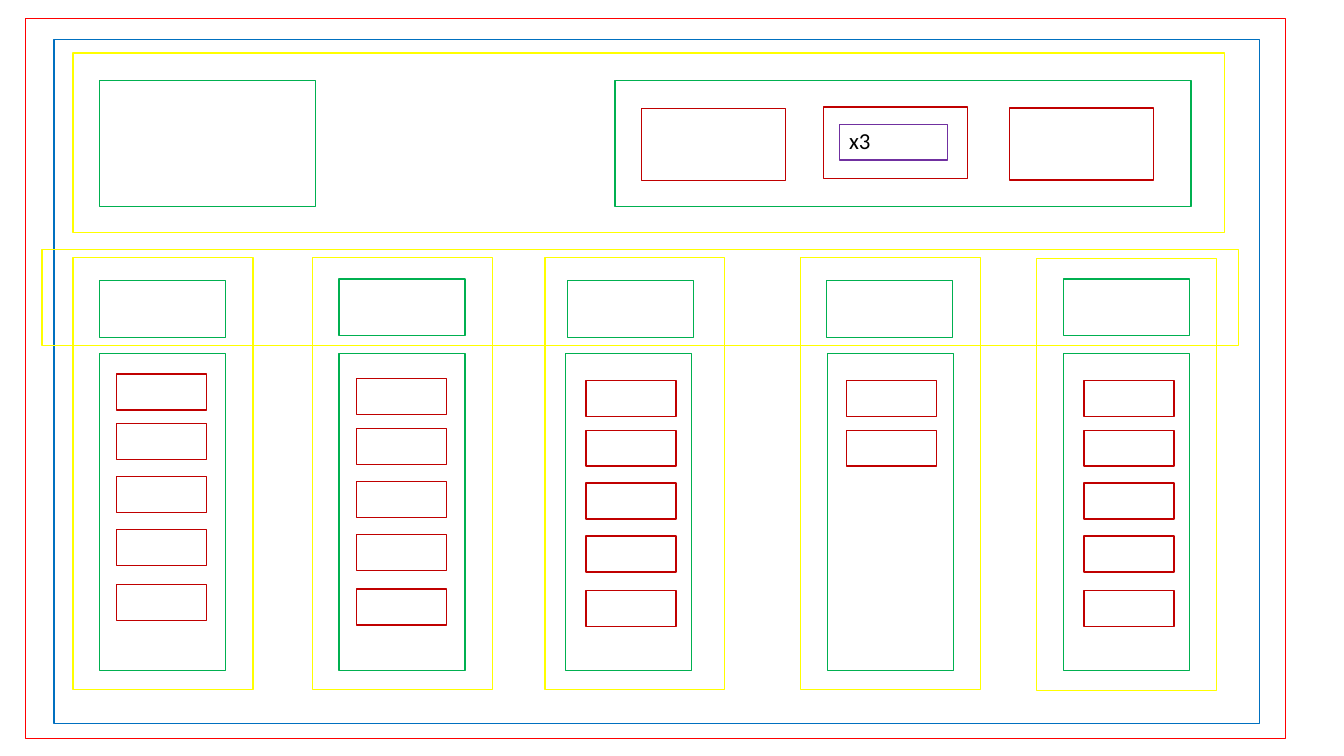
from pptx import Presentation
from pptx.dml.color import RGBColor
from pptx.enum.shapes import MSO_SHAPE
from pptx.enum.text import MSO_AUTO_SIZE
from pptx.util import Cm, Pt

RECTANGLE = MSO_SHAPE.RECTANGLE
FIT_SHAPE = MSO_AUTO_SIZE.SHAPE_TO_FIT_TEXT
BLANK_LAYOUT = 6


class Theme:
    page = RGBColor(0xFF, 0x00, 0x00)
    container = RGBColor(0x00, 0x70, 0xC0)
    section = RGBColor(0xFF, 0xFF, 0x00)
    block = RGBColor(0x00, 0xB0, 0x50)
    item = RGBColor(0xC0, 0x00, 0x00)
    detail = RGBColor(0x70, 0x30, 0xA0)
    text = RGBColor(0x00, 0x00, 0x00)
    font = "Calibri"
    text_size = Pt(18)
    line_width = Pt(1)


# All lengths are in centimetres; boxes are (left, top, width, height).
SLIDE_SIZE = (37.34, 21)
PAGE = (0.71, 0.51, 35, 20)
CONTAINER = (1.5, 1.09, 33.5, 19)
HEADER = (2.03, 1.47, 32, 5)
HEADER_BLOCKS = [(2.77, 2.23, 6, 3.5), (17.09, 2.23, 16, 3.5)]
MENU_POSITIONS = [(17.83, 3.02), (22.89, 2.97), (28.04, 3)]
MENU_DETAIL = (23.32, 3.45, 3, 1)
REPEAT_LABEL = ("x3", (23.34, 3.38, 2, 1))
TITLE_STRIP = (1.17, 6.93, 33.25, 2.67)

COLUMNS = [
    {"frame": (2.03, 7.16), "title": (2.77, 7.8), "list": 2.77, "items": (3.23, 10.39), "count": 5},
    {"frame": (8.69, 7.16), "title": (9.42, 7.75), "list": 9.42, "items": (9.91, 10.52), "count": 5},
    {"frame": (15.14, 7.16), "title": (15.77, 7.8), "list": 15.72, "items": (16.28, 10.57), "count": 5},
    {"frame": (22.25, 7.16), "title": (22.96, 7.8), "list": 22.99, "items": (23.52, 10.57), "count": 2},
    {"frame": (28.8, 7.19), "title": (29.54, 7.75), "list": 29.54, "items": (30.12, 10.57), "count": 5},
]
MENU_SIZE = (4, 2)
FRAME_SIZE = (5, 12)
TITLE_SIZE = (3.5, 1.58)
LIST_TOP = 9.83
LIST_SIZE = (3.5, 8.8)
ITEM_SIZE = (2.5, 1)
ITEM_OFFSETS = [0, 1.38, 2.85, 4.32, 5.84]


def add_outline(slide, box, color):
    outline = slide.shapes.add_shape(RECTANGLE, *map(Cm, box))
    outline.shadow.inherit = False
    outline.fill.background()
    outline.line.color.rgb = color
    outline.line.width = Theme.line_width


def add_label(slide, wording, box):
    frame = slide.shapes.add_textbox(*map(Cm, box)).text_frame
    frame.word_wrap = True
    frame.auto_size = FIT_SHAPE
    run = frame.paragraphs[0].add_run()
    run.text = wording
    run.font.name = Theme.font
    run.font.size = Theme.text_size
    run.font.color.rgb = Theme.text


def item_boxes(column):
    left, top = column["items"]
    return [(left, top + offset, *ITEM_SIZE) for offset in ITEM_OFFSETS[:column["count"]]]


def main():
    presentation = Presentation()
    presentation.slide_width, presentation.slide_height = map(Cm, SLIDE_SIZE)
    slide = presentation.slides.add_slide(presentation.slide_layouts[BLANK_LAYOUT])

    for column in COLUMNS:
        add_outline(slide, column["frame"] + FRAME_SIZE, Theme.section)
    add_outline(slide, HEADER, Theme.section)
    for block in HEADER_BLOCKS:
        add_outline(slide, block, Theme.block)
    for column in COLUMNS:
        add_outline(slide, (column["list"], LIST_TOP, *LIST_SIZE), Theme.block)
    add_outline(slide, CONTAINER, Theme.container)

    for position in MENU_POSITIONS:
        add_outline(slide, position + MENU_SIZE, Theme.item)
    add_outline(slide, MENU_DETAIL, Theme.detail)
    add_label(slide, *REPEAT_LABEL)

    for column in COLUMNS:
        add_outline(slide, column["title"] + TITLE_SIZE, Theme.block)
    add_outline(slide, TITLE_STRIP, Theme.section)
    for column in COLUMNS:
        for box in item_boxes(column):
            add_outline(slide, box, Theme.item)
    add_outline(slide, PAGE, Theme.page)

    presentation.save("out.pptx")


if __name__ == "__main__":
    main()
